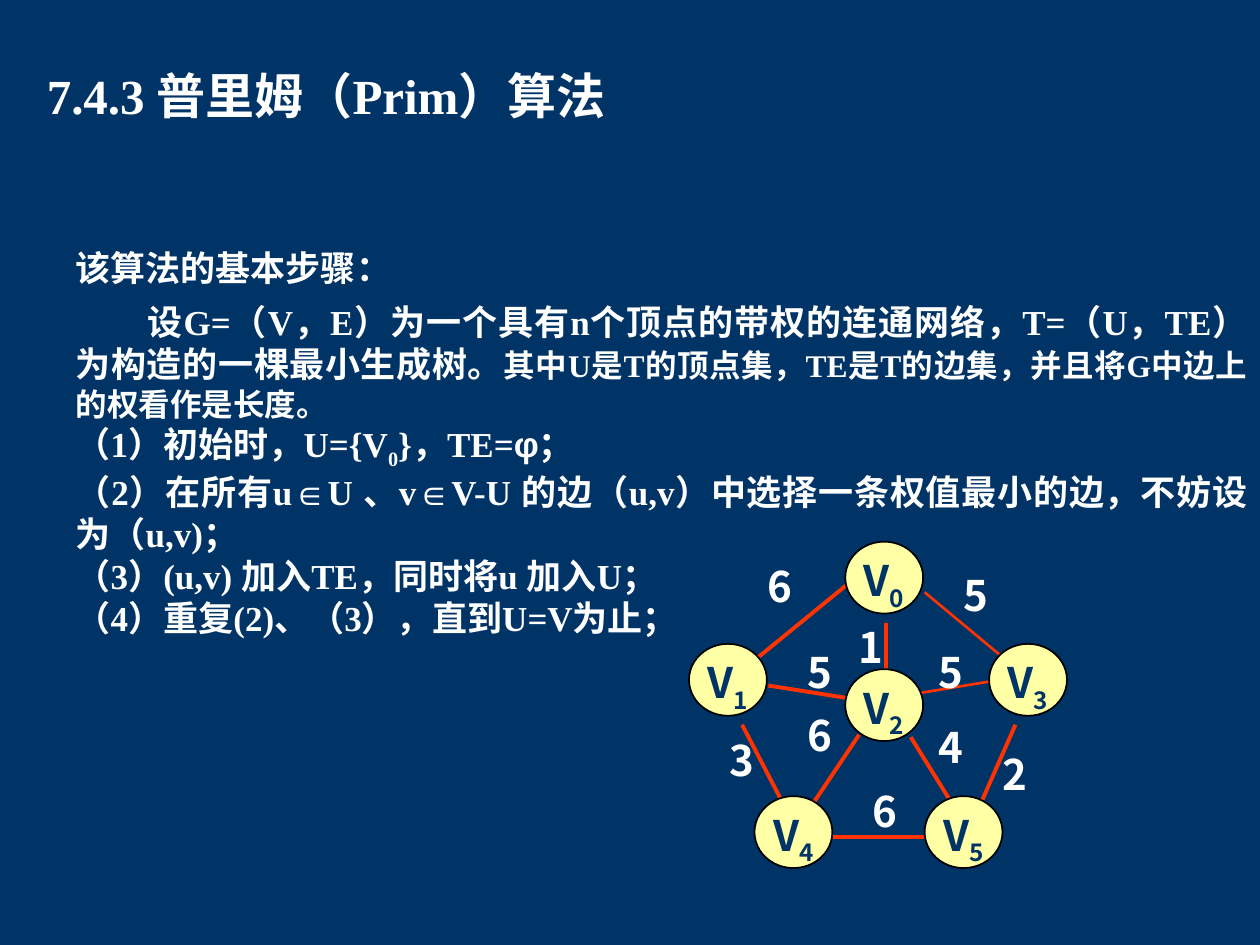
from pptx import Presentation
from pptx import util as u
from pptx.dml.color import RGBColor
from pptx.enum import shapes, text
from pptx.oxml.ns import qn
from lxml import etree

NAVY = RGBColor(0x00, 0x33, 0x66)
WHITE = RGBColor(0xFF, 0xFF, 0xFF)
YELLOW = RGBColor(0xFF, 0xFF, 0xA5)
RED = RGBColor(0xFF, 0x33, 0x00)
BLACK = RGBColor(0x00, 0x00, 0x00)

SERIF, SANS, CJK = "Times New Roman", "Arial", "Noto Sans CJK SC"

TITLE = "7.4.3 普里姆（Prim）算法"
TITLE_FORMAT = {"name": SERIF, "size": u.Pt(28), "bold": True}
BODY_FORMAT = {"name": SERIF, "size": u.Pt(20), "bold": True}
GRAPH_FORMAT = {"name": CJK, "size": u.Pt(24), "bold": True}
GREEK = {"name": SANS}
SMALL = {"size": u.Pt(18)}
SUBSCRIPT = {"baseline": -25000}

STEPS = [
    {"spans": [("该算法的基本步骤：", {})]},
    {"before": 6.8, "indent": 1.45, "spans": [
        ("设G=（V，E）为一个具有n个顶点的带权的连通网络，T=（U，TE）为构造的一棵最小生成树。", {}),
        ("其中U是T的顶点集，TE是T的边集，并且将G中边上的权看作是长度。", SMALL)]},
    {"spans": [("（1）初始时，U={V", {}), ("0", SUBSCRIPT), ("}，TE=", {}),
               ("φ", GREEK), ("；", {})]},
    {"spans": [("（2）在所有u", {}), ("∈", GREEK), ("U 、v", {}), ("∈", GREEK),
               ("V-U 的边（u,v）中选择一条权值最小的边，不妨设为（u,v)；", {})]},
    {"spans": [("（3）(u,v) 加入TE，同时将u 加入U；", {})]},
    {"spans": [("（4）重复(2)、（3），直到U=V为止；", {})]},
]

VERTICES = [(17.04, 10.92), (13.89, 12.98), (17.04, 13.49),
            (19.94, 12.98), (15.21, 16.05), (18.64, 16.05)]
VERTEX_SIZE = (1.57, 1.45)

EDGES = [
    ("6", (17.07, 11.79, 15.21, 13.31), (15.21, 11.18), 2.25),
    ("3", (14.96, 14.61, 15.75, 16.13), (14.43, 14.68), 2.25),
    ("2", (20.47, 14.61, 19.69, 16.38), (19.94, 14.96), 2.25),
    ("6", (16.79, 16.87, 18.64, 16.87), (17.32, 15.72), 2.25),
    ("1", (17.86, 12.55, 17.86, 13.56), (17.04, 12.40), 2.25),
    ("6", (17.32, 14.81, 16.28, 16.36), (16.00, 14.17), 2.25),
    ("4", (18.36, 14.86, 19.15, 16.13), (18.64, 14.43), 2.25),
    ("5", (15.49, 13.82, 17.07, 14.07), (16.00, 12.90), 2.25),
    ("5", (18.64, 11.94, 20.19, 13.23), (19.15, 11.35), 1.5),
    ("5", (19.94, 13.74, 18.36, 14.00), (18.64, 12.90), 1.5),
]
WEIGHT_SIZE = (1.04, 1.27)


def lengths(*values):
    return [u.Cm(value) for value in values]


def place(box, *frame):
    box.left, box.top, box.width, box.height = lengths(*frame)


def add_span(para, words, formats, color):
    span = para.add_run()
    span.text = words
    properties = span._r.get_or_add_rPr()
    for name, value in formats.items():
        if name == "baseline":
            properties.set(name, str(value))
        else:
            setattr(span.font, name, value)
    span.font.color.rgb = color
    etree.SubElement(properties, qn("a:ea")).set("typeface", CJK)


def add_title(page):
    box = page.shapes.title
    place(box, 0.69, 1.32, 15.09, 1.17)
    frame = box.text_frame
    frame.auto_size = text.MSO_AUTO_SIZE.NONE
    frame.vertical_anchor = text.MSO_ANCHOR.MIDDLE
    para = frame.paragraphs[0]
    para.alignment = text.PP_ALIGN.LEFT
    add_span(para, TITLE, TITLE_FORMAT, WHITE)


def add_steps(page):
    box = page.placeholders[1]
    place(box, 0, 4.85, 25.4, 8.15)
    frame = box.text_frame
    frame.auto_size = text.MSO_AUTO_SIZE.NONE
    for index, step in enumerate(STEPS):
        para = frame.add_paragraph() if index else frame.paragraphs[0]
        properties = para._p.get_or_add_pPr()
        properties.set("marL", str(u.Cm(1.27)))
        properties.set("indent", str(u.Cm(step.get("indent", 0))))
        etree.SubElement(properties, qn("a:buNone"))
        para.alignment = text.PP_ALIGN.JUSTIFY
        para.space_before = u.Pt(step.get("before", 0))
        for words, changes in step["spans"]:
            add_span(para, words, {**BODY_FORMAT, **changes}, WHITE)


def add_edge(page, ends, width):
    edge = page.shapes.add_connector(shapes.MSO_CONNECTOR.STRAIGHT, *lengths(*ends))
    edge.line.color.rgb = RED
    edge.line.width = u.Pt(width)
    etree.SubElement(edge._element.spPr, qn("a:effectLst"))


def add_vertex(page, number, corner):
    vertex = page.shapes.add_shape(shapes.MSO_SHAPE.OVAL, *lengths(*corner, *VERTEX_SIZE))
    vertex.shadow.inherit = False
    vertex.fill.solid()
    vertex.fill.fore_color.rgb = YELLOW
    vertex.line.color.rgb = BLACK
    vertex.line.width = u.Pt(1)
    frame = vertex.text_frame
    frame.word_wrap = False
    frame.vertical_anchor = text.MSO_ANCHOR.MIDDLE
    frame.margin_left = frame.margin_right = frame.margin_bottom = 0
    frame.margin_top = u.Cm(0.23)
    para = frame.paragraphs[0]
    para.alignment = text.PP_ALIGN.CENTER
    add_span(para, "V", GRAPH_FORMAT, NAVY)
    add_span(para, str(number), {**GRAPH_FORMAT, **SUBSCRIPT}, NAVY)


def add_weight(page, weight, corner):
    box = page.shapes.add_textbox(*lengths(*corner, *WEIGHT_SIZE))
    box.text_frame.word_wrap = True
    para = box.text_frame.paragraphs[0]
    para.alignment = text.PP_ALIGN.CENTER
    add_span(para, weight, GRAPH_FORMAT, WHITE)


def main():
    deck = Presentation()
    deck.slide_width, deck.slide_height = lengths(25.4, 19.05)
    page = deck.slides.add_slide(deck.slide_layouts[1])
    page.background.fill.solid()
    page.background.fill.fore_color.rgb = NAVY
    add_title(page)
    add_steps(page)
    for _, ends, _, width in EDGES:
        add_edge(page, ends, width)
    for number, corner in enumerate(VERTICES):
        add_vertex(page, number, corner)
    for weight, _, corner, _ in EDGES:
        add_weight(page, weight, corner)
    deck.save("out.pptx")


if __name__ == "__main__":
    main()
